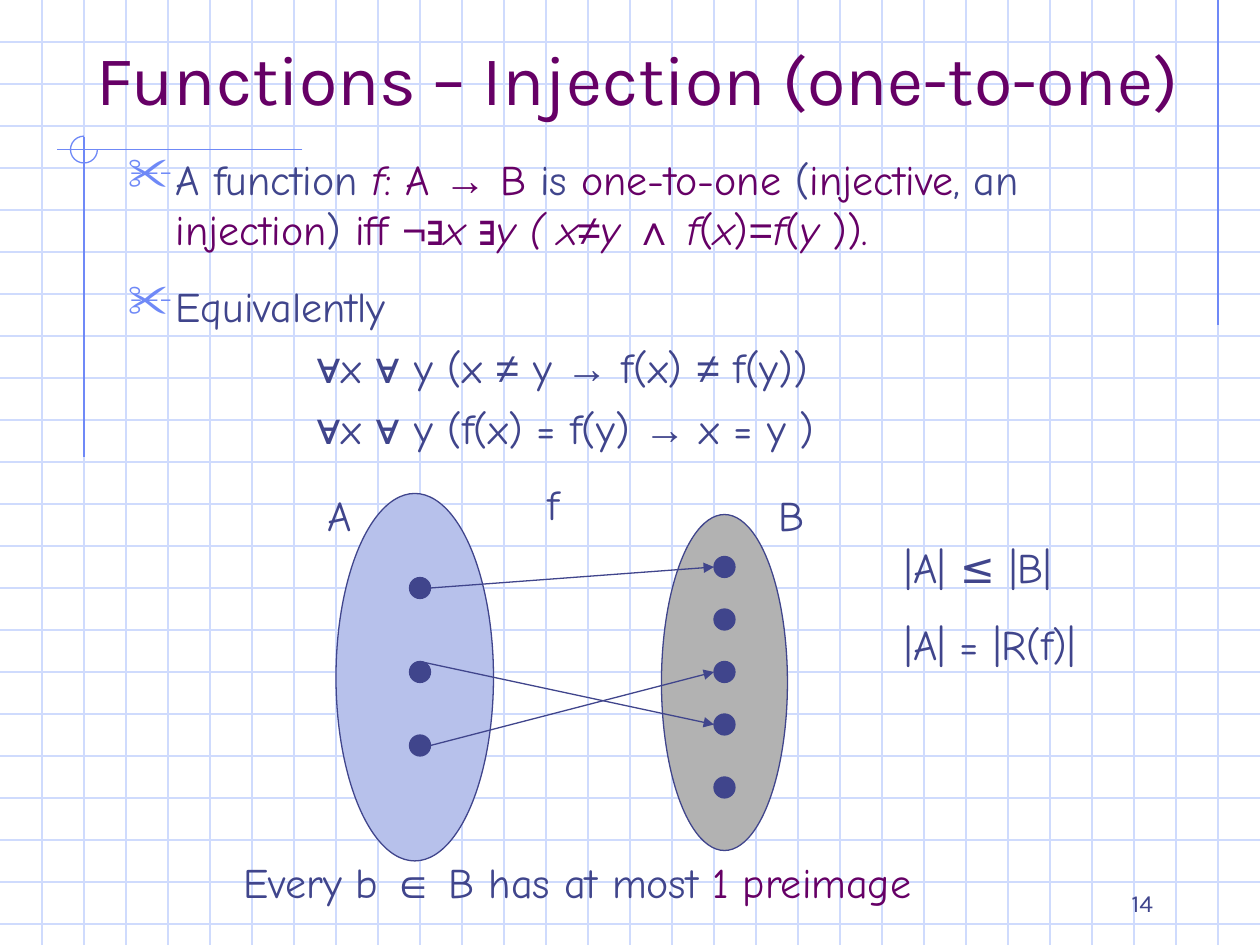
from dataclasses import dataclass
from itertools import groupby

from lxml.etree import SubElement
from pptx import Presentation
from pptx.dml.color import RGBColor
from pptx.enum.shapes import MSO_CONNECTOR, MSO_SHAPE
from pptx.enum.text import MSO_ANCHOR, MSO_AUTO_SIZE, PP_ALIGN
from pptx.oxml.ns import qn
from pptx.util import Inches, Pt


@dataclass(frozen=True)
class Theme:
    ink: str = "40458C"
    key: str = "660066"
    accent: str = "6F89F7"
    grid: str = "CFDBFD"
    domain: str = "B7C1EB"
    codomain: str = "B2B2B2"
    heading_font: str = "Karla"
    body_font: str = "Comic Neue"
    symbol_font: str = "Arial"
    title_size: int = 40
    body_size: int = 24
    number_size: int = 14
    line: float = 0.75


THEME = Theme()
COLS, ROWS = 120, 90  # twelve grid units to the inch
SQUARE = 4            # ruled paper square, in units
SYMBOLS = "→¬∃≠∧∀∈"


def units(n):
    return Inches(n / 12)


def rgb(value):
    return RGBColor.from_string(value)


def add_line(slide, start, end, color, arrow=False):
    line = slide.shapes.add_connector(
        MSO_CONNECTOR.STRAIGHT, *map(units, (*start, *end)))
    line.line.color.rgb = rgb(color)
    line.line.width = Pt(THEME.line)
    if arrow:
        SubElement(line.line._get_or_add_ln(), qn("a:tailEnd"), type="triangle")
    SubElement(line._element.spPr, qn("a:effectLst"))


def add_outline(slide, kind, box, line, fill=None):
    shape = slide.shapes.add_shape(kind, *map(units, box))
    shape.shadow.inherit = False
    shape.line.color.rgb = rgb(line)
    shape.line.width = Pt(THEME.line)
    if fill:
        shape.fill.solid()
        shape.fill.fore_color.rgb = rgb(fill)
    else:
        shape.fill.background()
    return shape


def style_font(font, name, size, color):
    font.name, font.size = name, Pt(size)
    font.color.rgb = rgb(color)


def write(paragraph, parts):
    """Parts are (text, marks): k key colour, i italic, s symbol font."""
    for text, marks in parts:
        for symbol, chars in groupby(text, lambda char: char in SYMBOLS):
            run = paragraph.add_run()
            run.text = "".join(chars)
            symbol = symbol or "s" in marks
            style_font(run.font,
                       THEME.symbol_font if symbol else THEME.body_font,
                       THEME.body_size,
                       THEME.key if "k" in marks else THEME.ink)
            run.font.italic = "i" in marks and not symbol


def indent(paragraph, left, hanging, bullet=None):
    props = paragraph._p.get_or_add_pPr()
    props.set("marL", str(Inches(left)))
    props.set("indent", str(-Inches(hanging)))
    if bullet:
        color = SubElement(props, qn("a:buClr"))
        SubElement(color, qn("a:srgbClr"), val=THEME.accent)
        SubElement(props, qn("a:buSzPct"), val="110000")
        SubElement(props, qn("a:buChar"), char=bullet)


def add_text(slide, box, *lines, gap=15):
    frame = slide.shapes.add_textbox(*map(units, box)).text_frame
    frame.word_wrap = True
    for index, parts in enumerate(lines):
        paragraph = frame.add_paragraph() if index else frame.paragraphs[0]
        if index:
            paragraph.space_before = Pt(gap)
        write(paragraph, parts)
    return frame


def draw_paper(slide, box):
    left, top, width, height = box
    right, bottom = left + width, top + height
    # Ruled squares
    for y in range(top + SQUARE, bottom, SQUARE):
        add_line(slide, (left, y), (right, y), THEME.grid)
    for x in range(left + SQUARE, right, SQUARE):
        add_line(slide, (x, top), (x, bottom), THEME.grid)
    # Margin rules, with an open circle at their crossing
    x, y, radius = left + 2 * SQUARE, top + 14.25, 1.28
    add_line(slide, (right - SQUARE, top), (right - SQUARE, top + 31), THEME.accent)
    add_line(slide, (x + 20.8, y), (x - 2.6, y), THEME.accent)
    add_line(slide, (x, y - 1.2), (x, y + 29.3), THEME.accent)
    arc = add_outline(slide, MSO_SHAPE.ARC,
                      (x - radius, y - radius, 2 * radius, 2 * radius), THEME.accent)
    arc.adjustments[0], arc.adjustments[1] = 0, 162  # from right round to top


def place_title(slide, box, text):
    title = slide.shapes.title
    title.left, title.top, title.width, title.height = map(units, box)
    slide.shapes._spTree.append(title._element)  # in front of the paper
    frame = title.text_frame
    frame.text = text
    frame.auto_size = MSO_AUTO_SIZE.NONE
    frame.vertical_anchor = MSO_ANCHOR.BOTTOM
    frame.paragraphs[0].alignment = PP_ALIGN.LEFT
    style_font(frame.paragraphs[0].runs[0].font, THEME.heading_font,
               THEME.title_size, THEME.key)


def place_number(slide, box, number):
    frame = slide.shapes.add_textbox(*map(units, box)).text_frame
    frame.word_wrap = True
    frame.text = number
    frame.vertical_anchor = MSO_ANCHOR.BOTTOM
    frame.paragraphs[0].alignment = PP_ALIGN.RIGHT
    style_font(frame.paragraphs[0].runs[0].font, THEME.heading_font,
               THEME.number_size, THEME.ink)


def place_definition(slide, box):
    definition = [
        ("A function ", ""), ("f", "ki"), (": A → B", "k"), (" is ", ""),
        ("one-to-one", "k"), (" (", ""), ("injective", "k"), (", an ", ""),
        ("injection", "k"), (") ", ""), ("iff ¬∃", "k"),
        ("x ∃y ( x≠y ", "ki"), ("∧ ", "ks"), ("f", "ki"), ("(", "k"),
        ("x", "ki"), (")", "k"), ("=", "ks"), ("f", "ki"), ("(", "k"),
        ("y", "ki"), (" )).", "k")]
    formulas = ["∀x ∀ y (x ≠ y → f(x) ≠ f(y))", "∀x ∀ y (f(x) = f(y) → x = y )"]
    frame = add_text(slide, box, definition, [("Equivalently", "")],
                     *([(formula, "")] for formula in formulas), gap=6)
    points, steps = frame.paragraphs[:2], frame.paragraphs[2:]
    points[1].space_before = Pt(15)
    for point in points:
        indent(point, 0.38, 0.38, "✂")
    for step in steps:
        step.level = 3
        indent(step, 1.75, 0.25)


def draw_mapping(slide, box):
    left, top, width, height = box
    dot = 2
    # Sets
    for (x, y, w, h), fill in (((33, 4, 12, 32), THEME.codomain),
                               ((2, 2, 15, 35), THEME.domain)):
        add_outline(slide, MSO_SHAPE.OVAL, (left + x, top + y, w, h), THEME.ink, fill)
    # Elements
    domain_x, codomain_x = left + 9, left + 38
    for x, rows in ((domain_x, (10, 18, 25)), (codomain_x, (8, 13, 18, 23, 29))):
        for row in rows:
            add_outline(slide, MSO_SHAPE.OVAL, (x, top + row, dot, dot),
                        THEME.ink, THEME.ink)
    # Arrows from domain to codomain
    for x, start, end in ((dot, 11, 9), (dot / 2, 18, 24), (dot, 26, 19)):
        add_line(slide, (domain_x + x, top + start), (codomain_x, top + end),
                 THEME.ink, arrow=True)
    # Names
    for name, x, y, w in (("f", 21, 0, 11), ("A", 0, 1, 7), ("B", 43, 1, 7)):
        add_text(slide, (left + x, top + y, w, 6), [(name, "")])


def main():
    deck = Presentation()
    deck.slide_width, deck.slide_height = units(COLS), units(ROWS)
    slide = deck.slides.add_slide(deck.slide_layouts[5])
    draw_paper(slide, (0, 0, COLS, ROWS))
    place_number(slide, (86, 85, 25, 3), "14")
    place_title(slide, (8, 4, 108, 8), "Functions – Injection (one-to-one)")
    place_definition(slide, (11, 14, 102, 68))
    add_text(slide, (22, 81, 78, 6),
             [("Every b ∈ B has at most ", ""), ("1 preimage", "k")])
    draw_mapping(slide, (30, 45, 50, 37))
    add_text(slide, (85, 51, 29, 13.3), [("|A| ≤ |B|", "")], [("|A| = |R(f)|", "")])
    deck.save("out.pptx")


if __name__ == "__main__":
    main()
